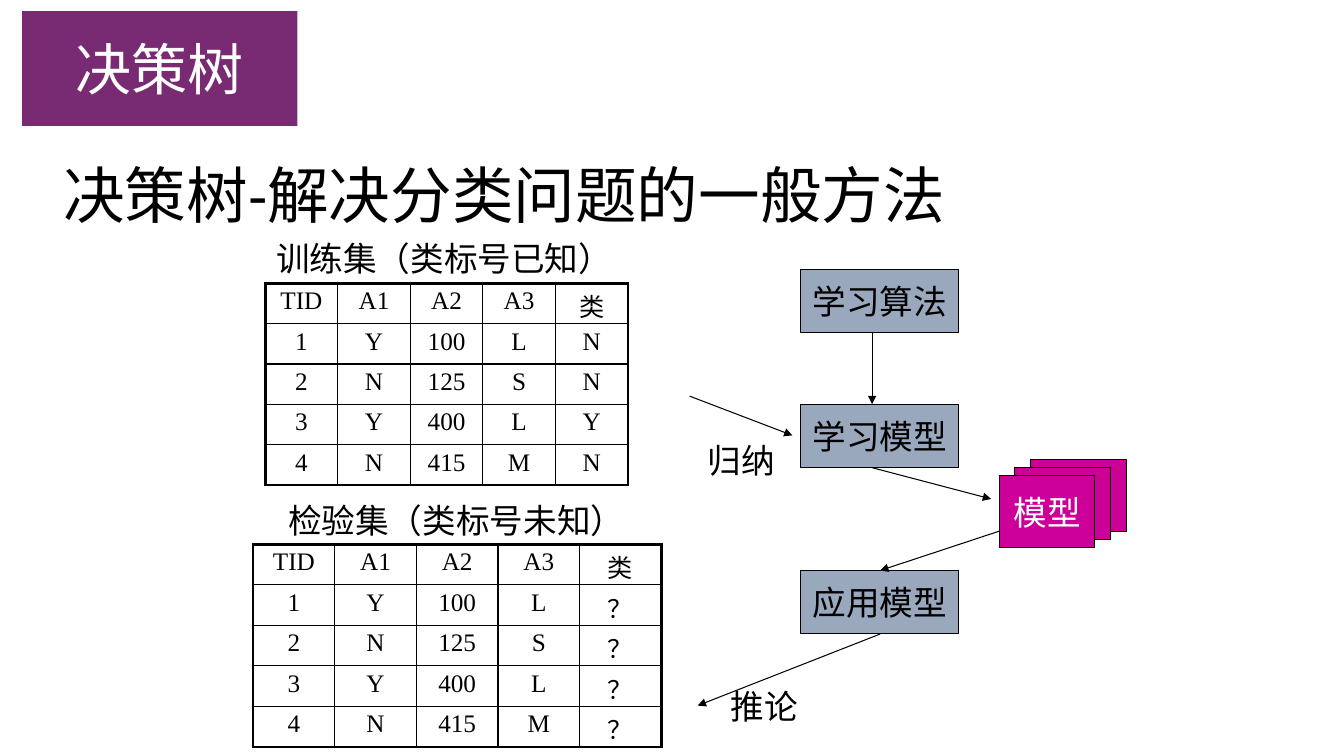
from lxml.etree import SubElement
from pptx import Presentation
from pptx.dml.color import RGBColor
from pptx.enum.shapes import MSO_CONNECTOR, MSO_SHAPE
from pptx.enum.text import MSO_ANCHOR, MSO_AUTO_SIZE, PP_ALIGN
from pptx.oxml import parse_xml
from pptx.oxml.ns import nsdecls, qn
from pptx.util import Pt

PX = 9144
BLACK = RGBColor(0x00, 0x00, 0x00)
WHITE = RGBColor(0xFF, 0xFF, 0xFF)
PURPLE = RGBColor(0x78, 0x2B, 0x73)
STEEL = RGBColor(0x99, 0xA8, 0xBD)
MAGENTA = RGBColor(0xCC, 0x00, 0x99)

deck = Presentation()
deck.slide_width = 1333 * PX
deck.slide_height = 750 * PX
slide = deck.slides.add_slide(deck.slide_layouts[6])


def write(frame, text, size, color, align, font="Calibri"):
    para = frame.paragraphs[0]
    para.text = text
    para.alignment = align
    para.font.size = Pt(size)
    para.font.name = font
    para.font.color.rgb = color
    return para


def add_box(left, top, width, height, fill, text="", size=24, color=BLACK, outlined=True):
    box = slide.shapes.add_shape(MSO_SHAPE.RECTANGLE, left * PX, top * PX, width * PX, height * PX)
    box.shadow.inherit = False
    box.fill.solid()
    box.fill.fore_color.rgb = fill
    if outlined:
        box.line.color.rgb = BLACK
        box.line.width = Pt(0.75)
    else:
        box.line.fill.background()
    if text:
        box.text_frame.word_wrap = False
        box.text_frame.vertical_anchor = MSO_ANCHOR.MIDDLE
        write(box.text_frame, text, size, color, PP_ALIGN.CENTER)


add_box(22, 11, 273, 114, PURPLE, "决策树", 40, WHITE, outlined=False)

for top, step in [(267, "学习算法"), (401, "学习模型"), (566, "应用模型")]:
    add_box(794, top, 157, 63, STEEL, step)

for left, top, label in [(1022, 456, ""), (1006, 464, ""), (991, 472, "模型")]:
    add_box(left, top, 95, 71, MAGENTA, label, color=WHITE)

header = ["TID", "A1", "A2", "A3", "类"]
records = [
    ["1", "Y", "100", "L"],
    ["2", "N", "125", "S"],
    ["3", "Y", "400", "L"],
    ["4", "N", "415", "M"],
]
for left, top, column_width, classes in [(263, 281, 72, "NNYN"), (251, 540, 81, "？？？？")]:
    rows = [header] + [record + [label] for record, label in zip(records, classes)]
    last = len(rows) - 1
    frame = slide.shapes.add_table(5, 5, left * PX, top * PX, 5 * column_width * PX, 200 * PX)
    table = frame.table
    for column in table.columns:
        column.width = column_width * PX
    for row_index, row in enumerate(rows):
        table.rows[row_index].height = 40 * PX
        for column_index, text in enumerate(row):
            cell = table.cell(row_index, column_index)
            cell.margin_top = 4 * PX
            cell.margin_bottom = 0
            cell.fill.background()
            write(cell.text_frame, text, 18, BLACK, PP_ALIGN.CENTER, "Times New Roman")
            outer_edges = {
                "L": column_index == 0,
                "R": column_index == last,
                "T": row_index == 0,
                "B": row_index == last,
            }
            properties = cell._tc.get_or_add_tcPr()
            for position, (side, outer) in enumerate(outer_edges.items()):
                width = Pt(2.25 if outer else 1)
                border = parse_xml(
                    f'<a:ln{side} {nsdecls("a")} w="{width}"><a:solidFill>'
                    f'<a:srgbClr val="{BLACK}"/></a:solidFill></a:ln{side}>'
                )
                properties.insert(position, border)

labels = [
    (264, 231, 353, "训练集（类标号已知）"),
    (276, 491, 353, "检验集（类标号未知）"),
    (692, 432, 87, "归纳"),
    (715, 676, 87, "推论"),
]
for left, top, width, text in labels:
    label = slide.shapes.add_textbox(left * PX, top * PX, width * PX, 50 * PX)
    label.text_frame.word_wrap = False
    label.text_frame.auto_size = MSO_AUTO_SIZE.SHAPE_TO_FIT_TEXT
    write(label.text_frame, text, 24, BLACK, PP_ALIGN.LEFT)

arrows = [
    (865, 330, 865, 401),
    (865, 464, 983, 495),
    (991, 527, 873, 566),
    (684, 393, 786, 432),
    (873, 629, 692, 700),
]
for points in arrows:
    arrow = slide.shapes.add_connector(MSO_CONNECTOR.STRAIGHT, *[point * PX for point in points])
    arrow.line.color.rgb = BLACK
    arrow.line.width = Pt(0.75)
    SubElement(arrow.line._get_or_add_ln(), qn("a:tailEnd"), type="triangle")
    SubElement(arrow._element.spPr, qn("a:effectLst"))

title = slide.shapes.add_textbox(53 * PX, 124 * PX, 1150 * PX, 145 * PX)
title.text_frame.word_wrap = True
title.text_frame.vertical_anchor = MSO_ANCHOR.MIDDLE
heading = write(title.text_frame, "决策树-解决分类问题的一般方法", 44, BLACK, PP_ALIGN.LEFT)
heading.line_spacing = 0.9

deck.save("out.pptx")
